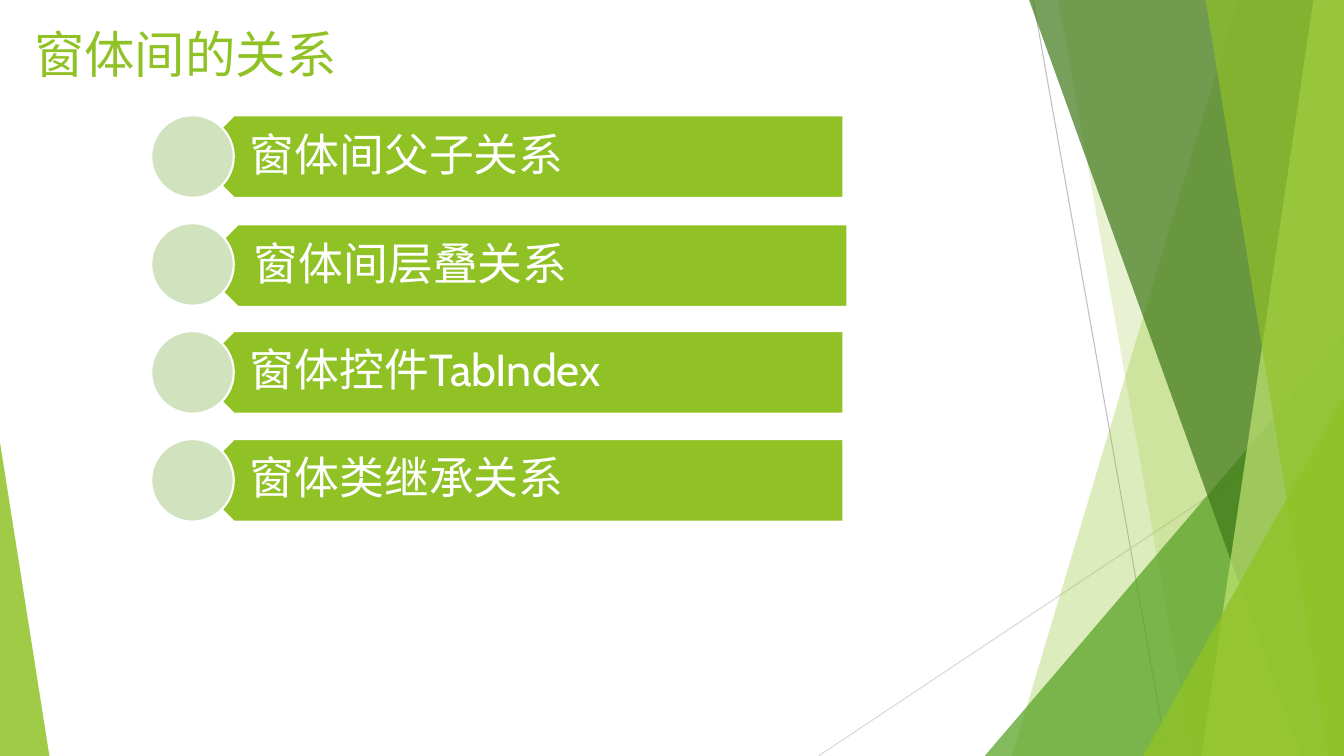
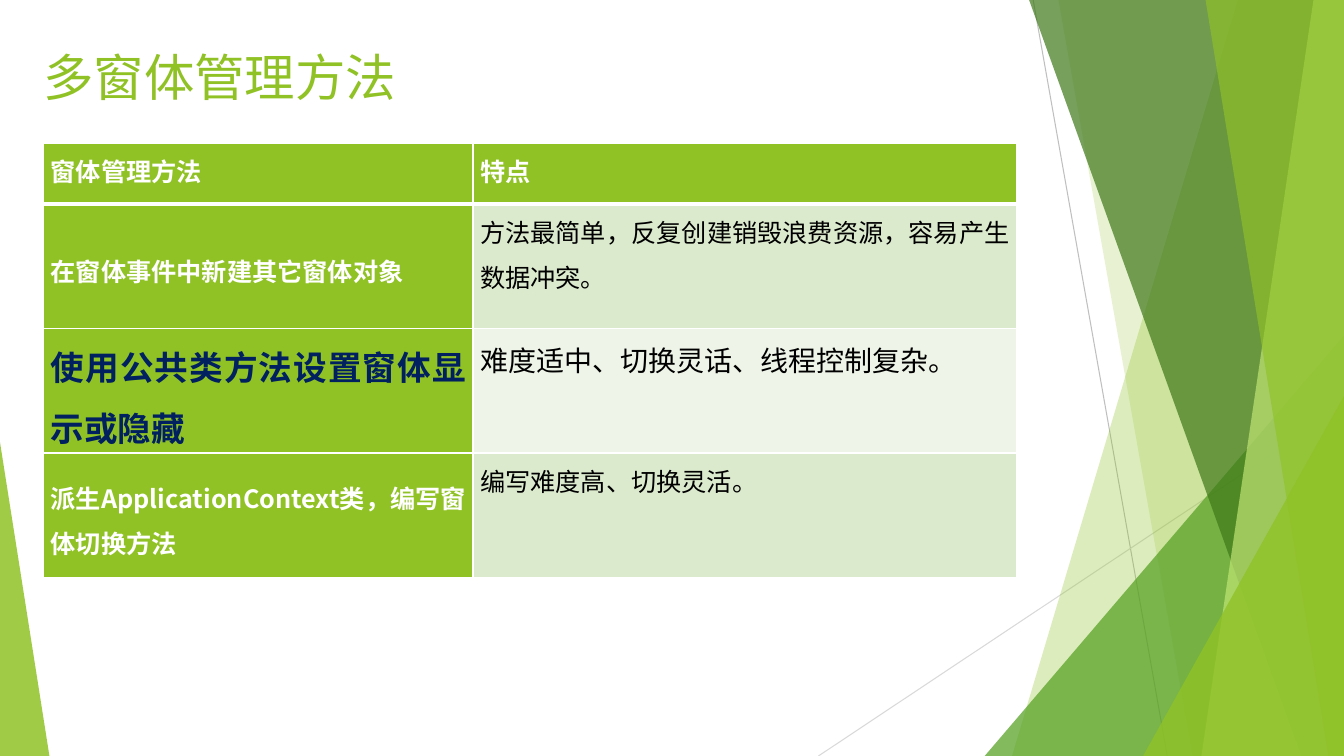
from dataclasses import dataclass
from typing import Any, NamedTuple

from lxml import etree
from pptx import Presentation
from pptx import util as u
from pptx.dml import color
from pptx.enum import shapes, text
from pptx.oxml import ns

COLOURS = {
    "white": "FFFFFF",
    "black": "000000",
    "navy": "002060",
    "lime": "90C226",
    "leaf": "54A021",
    "forest": "3F7819",
    "pale": "C0E474",
    "dot": "D1E3BE",
    "row_dark": "DBE9CD",
    "row_light": "EEF4E8",
    "ray_dark": "BFBFBF",
    "ray_light": "D9D9D9",
}
CJK = "Noto Sans CJK SC"
LATIN = "Cabin"
WIDTH, HEIGHT = 960, 540


class Box(NamedTuple):
    left: float
    top: float
    width: float
    height: float

    def lengths(self) -> list[u.Length]:
        return [u.Pt(value) for value in self]


class Ray(NamedTuple):
    start: tuple[float, float]
    end: tuple[float, float]
    colour: str


class Facet(NamedTuple):
    top_x: float
    bottom_x: float
    colour: str
    opacity: int


class Wedge(NamedTuple):
    box: Box
    apex: float
    colour: str
    opacity: int


@dataclass(frozen=True)
class Relation:
    label: str
    shift_x: float = 0
    shift_y: float = 0


@dataclass(frozen=True)
class Entry:
    label: str
    fill: str = "lime"
    colour: str = "white"
    size: float = 18
    bold: bool = True
    anchor: Any = text.MSO_ANCHOR.MIDDLE


def corner_wedge(left: float, top: float, colour: str, opacity: int) -> Wedge:
    return Wedge(Box(left, top, WIDTH - left, HEIGHT - top), 1, colour, opacity)


def feature(label: str, fill: str, size: float = 18) -> Entry:
    return Entry(label, fill, "black", size, False, text.MSO_ANCHOR.TOP)


RAYS = [
    Ray((738, 0), (833.8, HEIGHT), "ray_dark"),
    Ray((WIDTH, 290.2), (584.6, HEIGHT), "ray_light"),
]
BACKDROP = [
    Facet(884.2, 722.9, "lime", 30),
    Facet(756, 851.8, "lime", 20),
    corner_wedge(703.4, 239.8, "leaf", 72),
    Facet(735.1, 929.5, "forest", 70),
    Facet(938.2, 858.2, "pale", 70),
    Facet(861.1, 949, "lime", 65),
    corner_wedge(816.5, 283, "lime", 80),
    Wedge(Box(0, 316, 35.3, 224), 0, "lime", 85),
]

RELATIONS = [
    Relation("窗体间父子关系"),
    Relation("窗体间层叠关系", 2.8, 0.8),
    Relation("窗体控件TabIndex"),
    Relation("窗体类继承关系"),
]
RELATION_TOP, RELATION_PITCH = 82.3, 77.1
DOT_LEFT, DOT_SIZE = 108, 59
BAR_LEFT, BAR_WIDTH, LABEL_INDENT = 137.5, 465, 15

HEADER = {"anchor": text.MSO_ANCHOR.TOP}
METHODS = [
    [Entry("窗体管理方法", **HEADER), Entry("特点", **HEADER)],
    [
        Entry("在窗体事件中新建其它窗体对象"),
        feature("方法最简单，反复创建销毁浪费资源，容易产生数据冲突。", "row_dark"),
    ],
    [
        Entry("使用公共类方法设置窗体显示或隐藏", colour="navy", size=24),
        feature("难度适中、切换灵话、线程控制复杂。", "row_light", 20),
    ],
    [
        Entry("派生ApplicationContext类，编写窗体切换方法"),
        feature("编写难度高、切换灵活。", "row_dark"),
    ],
]
COLUMN_WIDTHS = [306.7, 388.2]
ROW_HEIGHTS = [43, 89, 89, 89]


def rgb(name: str) -> color.RGBColor:
    return color.RGBColor.from_string(COLOURS[name])


def set_values(target: Any, values: dict[str, Any]) -> None:
    for name, value in values.items():
        setattr(target, name, value)


def paint(shape: Any, fill: str, opacity: int = 100, outline: str | None = None) -> None:
    shape.shadow.inherit = False
    shape.fill.solid()
    shape.fill.fore_color.rgb = rgb(fill)
    if opacity < 100:
        solid = shape.element.spPr.find(ns.qn("a:solidFill"))
        etree.SubElement(solid[0], ns.qn("a:alpha"), val=str(opacity * 1000))
    if outline:
        shape.line.color.rgb = rgb(outline)
        shape.line.width = u.Pt(1.5)
    else:
        shape.line.fill.background()


def write(frame: Any, label: str, font: str, size: float, colour: str,
          paragraph_format: dict[str, Any], bold: bool = False) -> None:
    paragraph = frame.paragraphs[0]
    set_values(paragraph, paragraph_format)
    run = paragraph.add_run()
    run.text = label
    set_values(run.font, {"size": u.Pt(size), "bold": bold, "name": font})
    run.font.color.rgb = rgb(colour)
    etree.SubElement(run.font._element, ns.qn("a:ea"), typeface=CJK)


def add_label(slide: Any, box: Box, label: str, font: str, size: float, colour: str,
              insets: tuple[float, float, float, float], line_spacing: float = 1.0) -> None:
    frame = slide.shapes.add_textbox(*box.lengths()).text_frame
    left, top, right, bottom = map(u.Pt, insets)
    set_values(frame, {
        "word_wrap": True,
        "vertical_anchor": text.MSO_ANCHOR.MIDDLE,
        "margin_left": left,
        "margin_top": top,
        "margin_right": right,
        "margin_bottom": bottom,
    })
    write(frame, label, font, size, colour, {"line_spacing": line_spacing})


def add_ray(slide: Any, ray: Ray) -> None:
    ends = [u.Pt(value) for value in ray.start + ray.end]
    line = slide.shapes.add_connector(shapes.MSO_CONNECTOR.STRAIGHT, *ends)
    line.line.color.rgb = rgb(ray.colour)
    line.line.width = u.Pt(0.75)
    etree.SubElement(line._element.spPr, ns.qn("a:effectLst"))


def add_facet(slide: Any, facet: Facet) -> None:
    outline = slide.shapes.build_freeform(u.Pt(facet.top_x), 0)
    corners = [(WIDTH, 0), (WIDTH, HEIGHT), (facet.bottom_x, HEIGHT)]
    outline.add_line_segments([(u.Pt(x), u.Pt(y)) for x, y in corners], close=True)
    paint(outline.convert_to_shape(), facet.colour, facet.opacity)


def add_wedge(slide: Any, wedge: Wedge) -> None:
    triangle = slide.shapes.add_shape(
        shapes.MSO_SHAPE.ISOSCELES_TRIANGLE, *wedge.box.lengths())
    triangle.adjustments[0] = wedge.apex
    paint(triangle, wedge.colour, wedge.opacity)


def add_themed_slide(deck: Any, title: str, title_box: Box, font: str) -> Any:
    slide = deck.slides.add_slide(deck.slide_layouts[6])
    for ray in RAYS:
        add_ray(slide, ray)
    for piece in BACKDROP:
        if isinstance(piece, Facet):
            add_facet(slide, piece)
        else:
            add_wedge(slide, piece)
    add_label(slide, title_box, title, font, 36, "lime", (7.2, 3.6, 7.2, 3.6))
    return slide


def add_relation(slide: Any, index: int, relation: Relation) -> None:
    top = RELATION_TOP + index * RELATION_PITCH
    bar_box = Box(BAR_LEFT + relation.shift_x, top + relation.shift_y, BAR_WIDTH, DOT_SIZE)
    bar = slide.shapes.add_shape(shapes.MSO_SHAPE.PENTAGON, *bar_box.lengths())
    bar.rotation = 180
    paint(bar, "lime", outline="white")
    label_box = bar_box._replace(
        left=bar_box.left + LABEL_INDENT, width=BAR_WIDTH - LABEL_INDENT)
    add_label(slide, label_box, relation.label, LATIN, 32, "white", (26, 9.4, 18, 9.4), 0.9)
    dot_box = Box(DOT_LEFT, top, DOT_SIZE, DOT_SIZE)
    dot = slide.shapes.add_shape(shapes.MSO_SHAPE.OVAL, *dot_box.lengths())
    paint(dot, "dot", outline="white")


def add_borders(cell: Any, widths: dict[str, float]) -> None:
    properties = cell._tc.get_or_add_tcPr()
    for side, width in widths.items():
        border = etree.SubElement(properties, ns.qn(f"a:ln{side}"), w=str(u.Pt(width)))
        solid = etree.SubElement(border, ns.qn("a:solidFill"))
        etree.SubElement(solid, ns.qn("a:srgbClr"), val=COLOURS["white"])


def fill_cell(cell: Any, entry: Entry, row: int) -> None:
    add_borders(cell, {"L": 1, "R": 1, "T": 3 if row == 1 else 1, "B": 3 if row == 0 else 1})
    set_values(cell, {
        "vertical_anchor": entry.anchor,
        "margin_left": u.Pt(5),
        "margin_right": u.Pt(5),
        "margin_top": 0,
        "margin_bottom": 0,
    })
    cell.fill.solid()
    cell.fill.fore_color.rgb = rgb(entry.fill)
    write(cell.text_frame, entry.label, CJK, entry.size, entry.colour,
          {"alignment": text.PP_ALIGN.JUSTIFY, "line_spacing": 1.25}, entry.bold)


def add_methods(slide: Any) -> None:
    box = Box(31.2, 102.6, sum(COLUMN_WIDTHS), sum(ROW_HEIGHTS))
    methods = slide.shapes.add_table(
        len(ROW_HEIGHTS), len(COLUMN_WIDTHS), *box.lengths()).table
    methods.horz_banding = False
    for column, width in zip(methods.columns, COLUMN_WIDTHS):
        column.width = u.Pt(width)
    for row, height in zip(methods.rows, ROW_HEIGHTS):
        row.height = u.Pt(height)
    for row_index, entries in enumerate(METHODS):
        for column_index, entry in enumerate(entries):
            fill_cell(methods.cell(row_index, column_index), entry, row_index)


def main() -> None:
    deck = Presentation()
    set_values(deck, {"slide_width": u.Pt(WIDTH), "slide_height": u.Pt(HEIGHT)})
    relations = add_themed_slide(deck, "窗体间的关系", Box(17.3, 10, 235.5, 56), LATIN)
    for index, relation in enumerate(RELATIONS):
        add_relation(relations, index, relation)
    methods = add_themed_slide(deck, "多窗体管理方法", Box(23.8, 26, 291.6, 57.6), CJK)
    add_methods(methods)
    deck.save("out.pptx")


if __name__ == "__main__":
    main()
